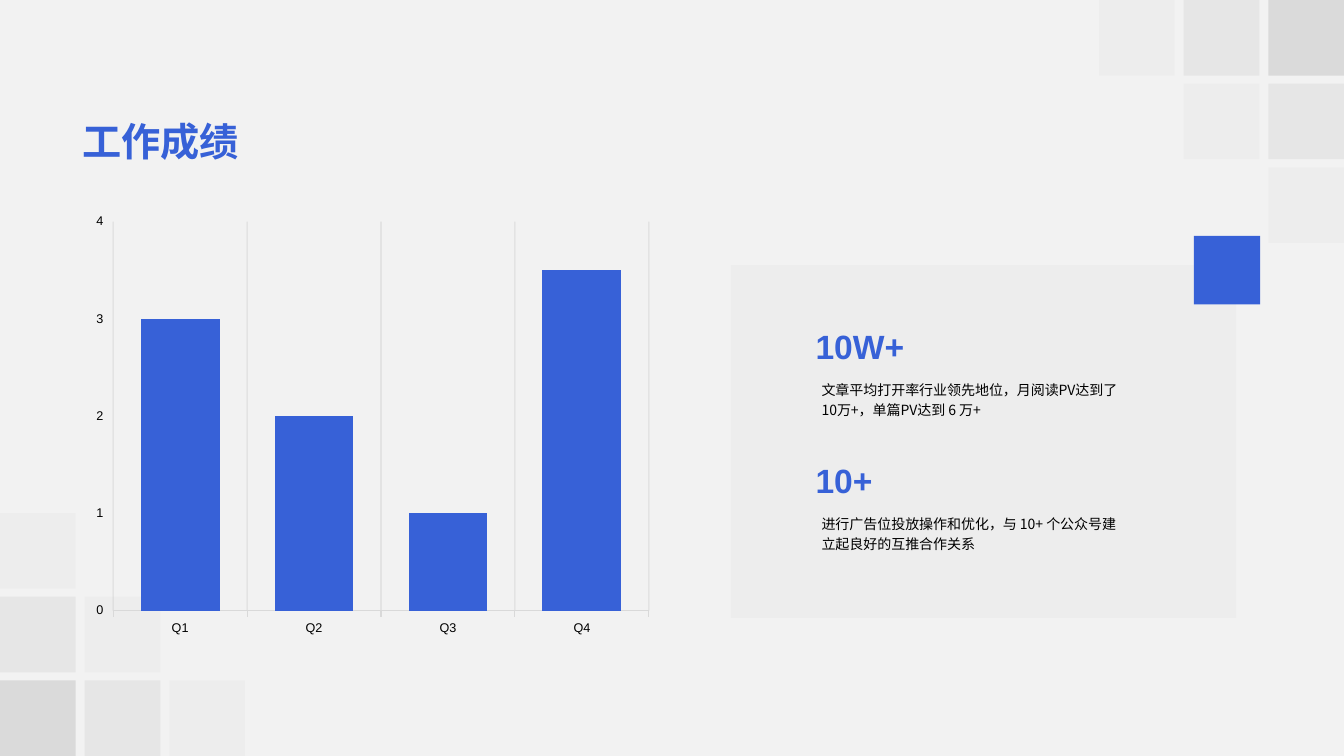
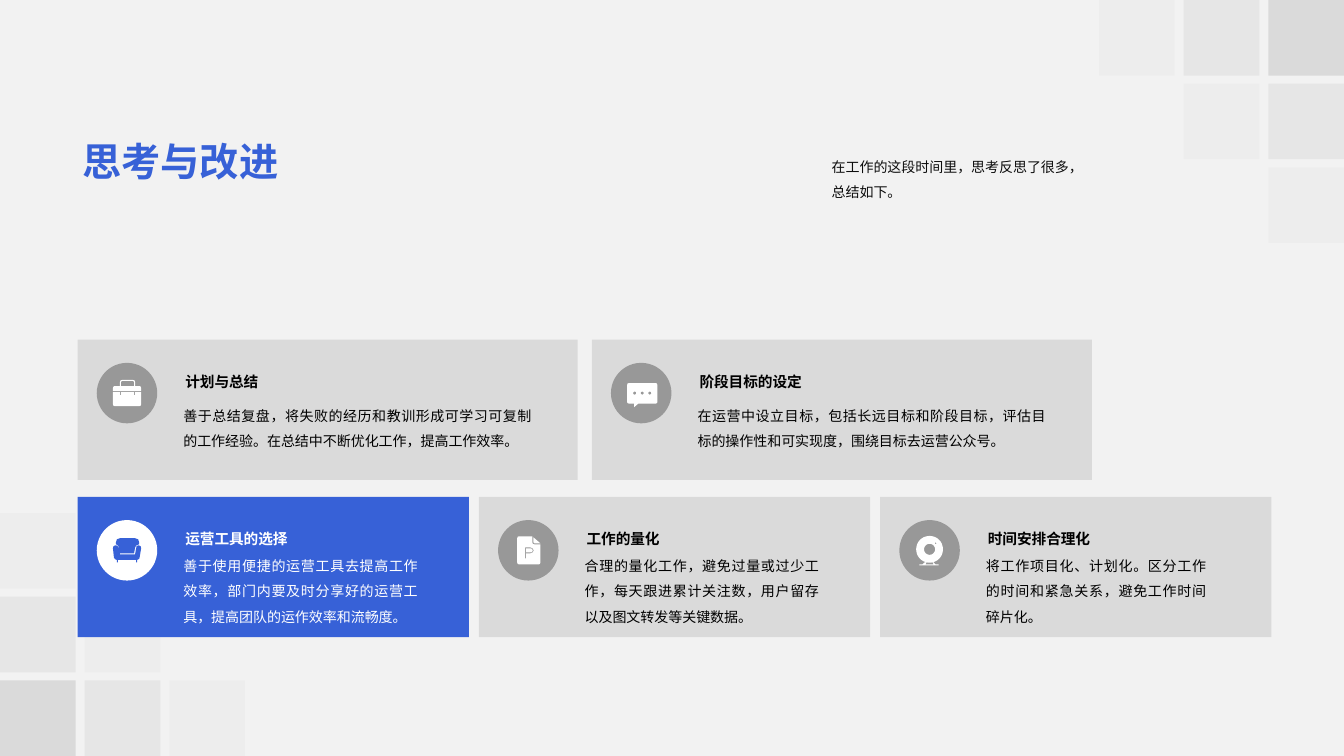
from dataclasses import dataclass
from math import cos, pi, sin

from lxml import etree
from pptx import Presentation
from pptx.chart.data import CategoryChartData
from pptx.dml.color import RGBColor
from pptx.enum.chart import XL_CHART_TYPE, XL_TICK_MARK
from pptx.enum.shapes import MSO_SHAPE
from pptx.enum.text import MSO_ANCHOR, MSO_AUTO_SIZE, PP_ALIGN
from pptx.oxml.ns import qn
from pptx.util import Inches, Pt

RECTANGLE, OVAL = MSO_SHAPE.RECTANGLE, MSO_SHAPE.OVAL
TOP, MIDDLE, BOTTOM = MSO_ANCHOR.TOP, MSO_ANCHOR.MIDDLE, MSO_ANCHOR.BOTTOM
LEFT, JUSTIFY = PP_ALIGN.LEFT, PP_ALIGN.JUSTIFY
COLUMNS, TICK_OUTSIDE = XL_CHART_TYPE.COLUMN_CLUSTERED, XL_TICK_MARK.OUTSIDE
FIT_SHAPE = MSO_AUTO_SIZE.SHAPE_TO_FIT_TEXT


@dataclass(frozen=True)
class Theme:
    accent: str = "3761D7"
    background: str = "F2F2F2"
    ink: str = "0D0D0D"
    black: str = "000000"
    white: str = "FFFFFF"
    axis: str = "D9D9D9"
    grid: str = "808080"
    latin: str = "Arial"
    chinese: str = "Noto Sans CJK SC"
    title_size: float = 28
    figure_size: float = 24
    heading_size: float = 10.5
    body_size: float = 10
    axis_size: float = 9


THEME = Theme()


# Icon outlines, in hundredths of an inch inside a 60 by 60 circle
def ring(center_x, center_y, radius, steps=40):
    return [(center_x + radius * cos(2 * pi * step / steps),
             center_y + radius * sin(2 * pi * step / steps)) for step in range(steps)]


BRIEFCASE = [
    [(16, 29), (23, 29), (23, 32), (24, 32), (24, 29), (37, 29), (37, 32), (38, 32),
     (38, 29), (44, 29), (44, 41), (43.5, 42.5), (42, 43), (18, 43), (16.5, 42.5), (16, 41)],
    [(16, 28), (16, 25), (16.5, 23.5), (18, 23), (23, 23), (23, 19), (23.5, 17.5), (25, 17),
     (36, 17), (37.5, 17.5), (38, 19), (38, 23), (42, 23), (43.5, 23.5), (44, 25), (44, 28)],
    [(24, 23), (24, 19), (25, 18), (36, 18), (37, 19), (37, 23)],
]
SPEECH_BUBBLE = [
    [(18, 20), (44, 20), (45.5, 20.5), (46, 22), (46, 39), (45.5, 40), (44, 40.5), (27, 40.5),
     (23, 44), (23, 40.5), (18, 40.5), (16.5, 40), (16, 39), (16, 22), (16.5, 20.5)],
    *[ring(x, 30, 1.5) for x in (23.5, 31, 38.5)],
]
SOFA = [
    [(41.5, 25), (43.5, 26), (44, 28), (42.5, 37), (42, 38.5), (40.5, 39.2), (40, 39.5),
     (40, 42), (39, 42), (39, 39.5), (21, 39.5), (21, 42), (20, 42), (20, 39.5), (18, 38.8),
     (17, 37), (16, 28), (16.5, 26), (18.5, 25), (20.5, 25.5), (22, 28), (23, 34),
     (38, 34), (39, 28), (39.5, 26)],
    [(38, 18), (41, 19), (42, 22), (42, 24), (39.5, 25), (38, 27), (37, 33), (23, 33),
     (22, 27), (21, 25), (19, 24), (19, 22), (20, 19), (23, 18)],
]
DOCUMENT = [
    [(21, 16), (34, 16), (34, 22), (34.5, 23.5), (36, 24), (42, 24), (42, 42), (41.5, 43.5),
     (40, 44), (21, 44), (19.5, 43.5), (19, 42), (19, 18), (19.5, 16.5)],
    [(42, 23), (36, 23), (35, 22), (35, 17)],
    [(27, 27), (32, 27), (34.5, 28), (35.5, 30), (34.5, 32), (32, 33), (28, 33), (28, 38),
     (27, 38)],
    [(28, 28), (32, 28), (33.8, 28.6), (34.5, 30), (33.8, 31.4), (32, 32), (28, 32)],
]
WEBCAM = [
    ring(30, 29, 13.3),
    ring(30, 29, 5.5),
    ring(36, 23, 0.8),
    [(25, 42), (23, 44), (20, 44), (20, 45), (39, 45), (39, 44), (36, 44), (34, 42),
     (33, 42), (34, 44), (26, 44), (27, 42)],
]


# Basic elements
def set_alpha(element, percent):
    color = element.find(".//" + qn("a:srgbClr"))
    etree.SubElement(color, qn("a:alpha"), val=str(percent * 1000))


def paint(shape, color, alpha=100):
    shape.shadow.inherit = False
    shape.fill.solid()
    shape.fill.fore_color.rgb = RGBColor.from_string(color)
    if alpha < 100:
        set_alpha(shape._element.spPr, alpha)
    shape.line.fill.background()


def add_block(slide, box, color, alpha=100, kind=RECTANGLE):
    shape = slide.shapes.add_shape(kind, *map(Inches, box))
    paint(shape, color, alpha)


def style_font(font, size, color, bold=False, latin=THEME.latin):
    font.size, font.bold = Pt(size), bold
    font.color.rgb = RGBColor.from_string(color)
    font.name = latin


def add_text(slide, box, text, size, color=THEME.black, bold=False, anchor=TOP,
             align=LEFT, spacing=1.0, latin=THEME.latin, margin=None):
    frame = slide.shapes.add_textbox(*map(Inches, box)).text_frame
    frame.word_wrap = True
    frame.vertical_anchor = anchor
    if margin is None:
        frame.auto_size = FIT_SHAPE
    else:
        frame.margin_top = frame.margin_bottom = Inches(margin)
    paragraph = frame.paragraphs[0]
    paragraph.text = text
    paragraph.alignment = align
    paragraph.line_spacing = spacing
    style_font(paragraph.font, size, color, bold, latin)
    defaults = paragraph._p.pPr.find(qn("a:defRPr"))
    etree.SubElement(defaults, qn("a:ea"), typeface=THEME.chinese)


def add_icon(slide, left, top, outlines, color):
    # Ten local units for each hundredth of an inch
    (first, *rest), *others = [[(x * 10, y * 10) for x, y in outline] for outline in outlines]
    builder = slide.shapes.build_freeform(*first, scale=Inches(1) / 1000)
    builder.add_line_segments(rest)
    for start, *points in others:
        builder.move_to(*start)
        builder.add_line_segments(points)
    paint(builder.convert_to_shape(Inches(left), Inches(top)), color)


# Shared slide frame
def add_slide(presentation, title, title_box, spacing=1.0):
    slide = presentation.slides.add_slide(presentation.slide_layouts[6])
    side, step_x, step_y = 0.75, 0.84, 0.83
    for column in range(3):
        for row in range(3 - column):
            alpha = (10, 5, 2)[column + row]
            across, down = column * step_x, row * step_y
            add_block(slide, (12.58 - across, down, side, side), THEME.ink, alpha)
            add_block(slide, (across, 6.75 - down, side, side), THEME.ink, alpha)
    add_text(slide, title_box, title, THEME.title_size, THEME.accent, True,
             BOTTOM, spacing=spacing)
    return slide


# Parts of the results slide
def add_column_chart(slide, box, categories, values):
    data = CategoryChartData()
    data.categories = categories
    data.add_series("Series 1", values)
    chart = slide.shapes.add_chart(COLUMNS, *map(Inches, box), data).chart
    chart.has_legend = chart.has_title = False
    style_font(chart.font, THEME.body_size, THEME.black)

    plot = chart.plots[0]
    plot.vary_by_categories = False
    plot.gap_width = 70
    fill = plot.series[0].format.fill
    fill.solid()
    fill.fore_color.rgb = RGBColor.from_string(THEME.accent)

    category_axis, value_axis = chart.category_axis, chart.value_axis
    for axis in (category_axis, value_axis):
        axis.major_tick_mark = TICK_OUTSIDE
        style_font(axis.tick_labels.font, THEME.axis_size, THEME.black)
    value_axis.has_major_gridlines = False
    value_axis.minimum_scale, value_axis.maximum_scale, value_axis.major_unit = 0, 4, 1
    value_axis.format.line.fill.background()
    category_axis.has_major_gridlines = True
    for line, color in ((category_axis.format.line, THEME.axis),
                        (category_axis.major_gridlines.format.line, THEME.grid)):
        line.width = Pt(0.75)
        line.color.rgb = RGBColor.from_string(color)
    set_alpha(category_axis._element.find(qn("c:majorGridlines")), 20)


def add_result(slide, top, figure, description):
    add_text(slide, (7.99, top, 1.39, 0.5), figure, THEME.figure_size, THEME.accent,
             True, BOTTOM)
    add_text(slide, (8.05, top + 0.39, 3.23, 0.76), description, THEME.body_size,
             anchor=MIDDLE, spacing=1.2, latin=THEME.chinese, margin=0.1)


def build_results(presentation):
    slide = add_slide(presentation, "工作成绩", (0.72, 1.11, 11.88, 0.57))
    add_column_chart(slide, (0.84, 2.04, 5.71, 4.35), ("Q1", "Q2", "Q3", "Q4"), (3, 2, 1, 3.5))
    add_block(slide, (7.25, 2.63, 5.01, 3.5), THEME.ink, 2)
    add_block(slide, (11.84, 2.34, 0.66, 0.68), THEME.accent)
    add_result(slide, 3.18, "10W+",
               "文章平均打开率行业领先地位，月阅读PV达到了 10万+，单篇PV达到 6 万+")
    add_result(slide, 4.51, "10+",
               "进行广告位投放操作和优化，与 10+ 个公众号建立起良好的互推合作关系")


# Parts of the reflection slide
def add_card(slide, box, icon, heading, body, body_width, body_offset, highlighted=False):
    left, top = box[:2]
    circle_left, circle_top = left + 0.19, top + 0.23
    if highlighted:
        card, circle = (THEME.accent,), (THEME.white,)
        icon_color, text_color = THEME.accent, THEME.white
    else:
        card, circle = (THEME.ink, 10), (THEME.black, 30)
        icon_color, text_color = THEME.white, THEME.black
    add_block(slide, box, *card)
    add_block(slide, (circle_left, circle_top, 0.6, 0.6), *circle, kind=OVAL)
    add_icon(slide, circle_left, circle_top, icon, icon_color)
    add_text(slide, (left + 0.97, top + 0.19, 2.2, 0.33), heading, THEME.heading_size,
             text_color, True, spacing=1.5)
    add_text(slide, (left + 0.95, top + body_offset, body_width, 0.83), body,
             THEME.body_size, text_color, align=JUSTIFY, spacing=1.5)


def build_reflection(presentation):
    slide = add_slide(presentation, "思考与改进", (0.72, 1.24, 6.25, 0.64), 0.9)
    add_text(slide, (8.15, 1.44, 2.75, 0.57), "在工作的这段时间里，思考反思了很多，总结如下。",
             THEME.body_size, THEME.ink, spacing=1.5)

    wide_cards = [
        (BRIEFCASE, "计划与总结",
         "善于总结复盘，将失败的经历和教训形成可学习可复制的工作经验。在总结中不断优化工作，提高工作效率。", 3.65),
        (SPEECH_BUBBLE, "阶段目标的设定",
         "在运营中设立目标，包括长远目标和阶段目标，评估目标的操作性和可实现度，围绕目标去运营公众号。", 3.65),
    ]
    narrow_cards = [
        (SOFA, "运营工具的选择",
         "善于使用便捷的运营工具去提高工作效率，部门内要及时分享好的运营工具，提高团队的运作效率和流畅度。", 2.52),
        (DOCUMENT, "工作的量化",
         "合理的量化工作，避免过量或过少工作，每天跟进累计关注数，用户留存以及图文转发等关键数据。", 2.52),
        (WEBCAM, "时间安排合理化",
         "将工作项目化、计划化。区分工作的时间和紧急关系，避免工作时间碎片化。", 2.38),
    ]
    # Each row: cards, top, card width, step, offset of the body text
    for cards, top, width, step, offset in ((wide_cards, 3.37, 4.96, 5.1, 0.54),
                                            (narrow_cards, 4.93, 3.88, 3.98, 0.47)):
        for index, content in enumerate(cards):
            add_card(slide, (0.77 + index * step, top, width, 1.39), *content, offset,
                     highlighted=content[0] is SOFA)


def main():
    presentation = Presentation()
    presentation.slide_width, presentation.slide_height = Inches(13.33), Inches(7.5)
    background = presentation.slide_master.background.fill
    background.solid()
    background.fore_color.rgb = RGBColor.from_string(THEME.background)
    build_results(presentation)
    build_reflection(presentation)
    presentation.save("out.pptx")


if __name__ == "__main__":
    main()
